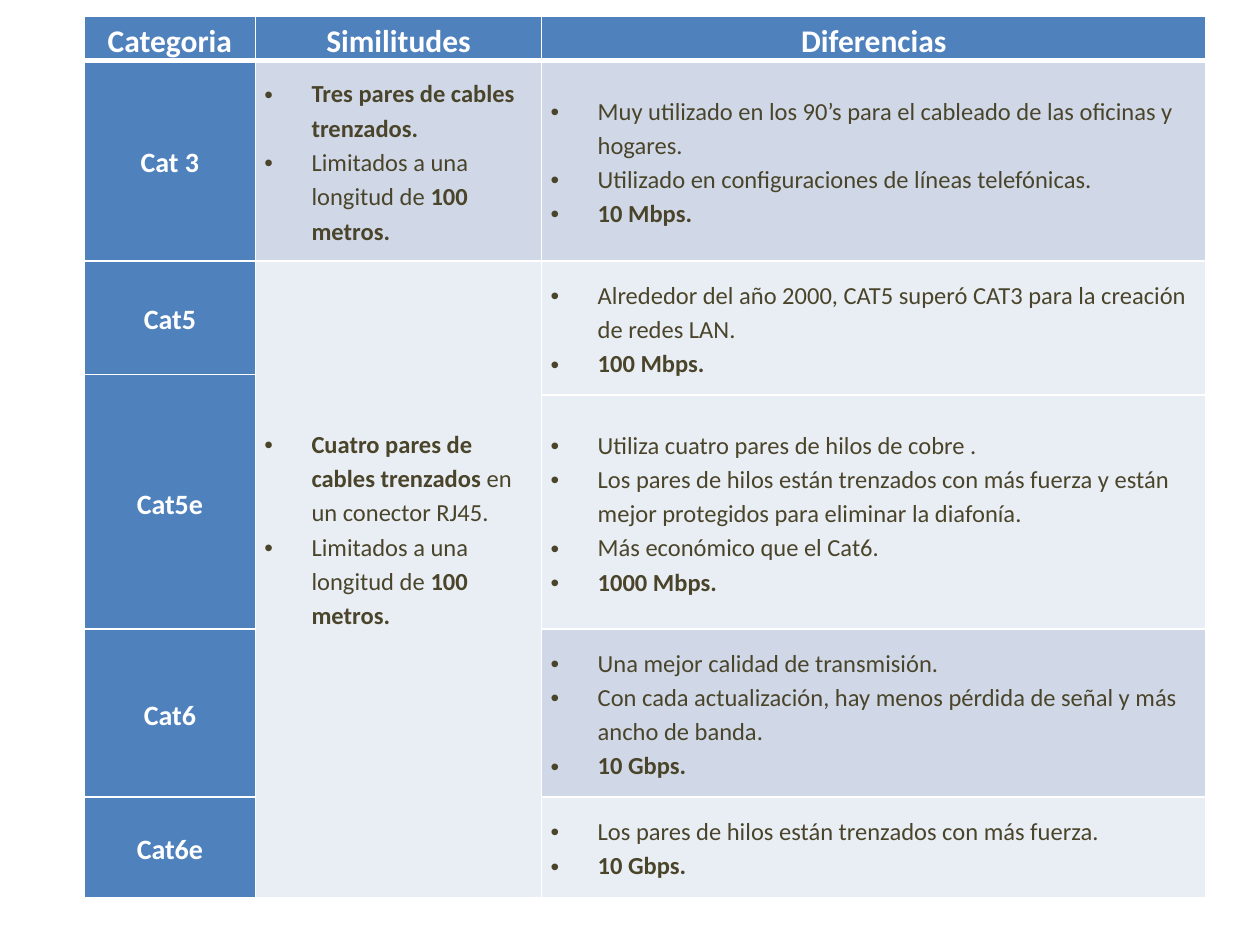
from dataclasses import dataclass

from lxml.etree import SubElement
from pptx import Presentation
from pptx.dml.color import RGBColor
from pptx.enum.text import MSO_ANCHOR as Anchor, PP_ALIGN as Align
from pptx.oxml.ns import qn
from pptx.slide import Slide
from pptx.util import Cm, Pt

HEADINGS = ["Categoria", "Similitudes", "Diferencias"]
COLUMN_WIDTHS = [3.45, 5.77, 13.39]
ROW_HEIGHTS = [0.86, 4.04, 2.29, 0.41, 4.72, 3.38, 2.03]
MERGES = [((2, 1), (6, 1)), ((2, 2), (3, 2)), ((3, 0), (4, 0))]
CATEGORIES = {1: "Cat 3", 2: "Cat5", 3: "Cat5e", 5: "Cat6", 6: "Cat6e"}
SIMILARITIES = {
    1: ["*Tres pares de cables trenzados.*",
        "Limitados a una longitud de *100 metros.*"],
    2: ["*Cuatro pares de cables trenzados* en un conector RJ45.",
        "Limitados a una longitud de *100 metros.*"],
}
DIFFERENCES = {
    1: ["Muy utilizado en los 90’s para el cableado de las oficinas y hogares.",
        "Utilizado en configuraciones de líneas telefónicas.",
        "*10 Mbps.*"],
    2: ["Alrededor del año 2000, CAT5 superó CAT3 para la creación de redes LAN.",
        "*100 Mbps.*"],
    4: ["Utiliza cuatro pares de hilos de cobre .",
        "Los pares de hilos están trenzados con más fuerza y están mejor "
        "protegidos para eliminar la diafonía.",
        "Más económico que el Cat6.",
        "*1000 Mbps.*"],
    5: ["Una mejor calidad de transmisión.",
        "Con cada actualización, hay menos pérdida de señal y más ancho de banda.",
        "*10 Gbps.*"],
    6: ["Los pares de hilos están trenzados con más fuerza.",
        "*10 Gbps.*"],
}
SHADED_ROWS = (1, 5)


def color(code):
    return RGBColor.from_string(code)


@dataclass
class ComparisonSlide:
    """Holds the table style and the slide it is drawn on."""

    slide: Slide
    font: str = "Calibri"
    accent: str = "4F81BD"
    shade: str = "D0D8E8"
    tint: str = "E9EDF4"
    ink: str = "4A452A"
    light: str = "FFFFFF"

    def table(self, left, top, widths, heights, merges):
        frame = self.slide.shapes.add_table(
            len(heights), len(widths), Cm(left), Cm(top),
            Cm(sum(widths)), Cm(sum(heights)))
        grid = frame.table
        grid.horz_banding = False
        for column, width in zip(grid.columns, widths):
            column.width = Cm(width)
        for row, height in zip(grid.rows, heights):
            row.height = Cm(height)
        for first, last in merges:
            grid.cell(*first).merge(grid.cell(*last))
        return grid

    def cell(self, cell, fill, top_line=1, bottom_line=1):
        properties = cell._tc.get_or_add_tcPr()
        for side, width in zip("LRTB", (1, 1, top_line, bottom_line)):
            line = SubElement(properties, qn(f"a:ln{side}"), w=str(Pt(width)))
            paint = SubElement(line, qn("a:solidFill"))
            SubElement(paint, qn("a:srgbClr"), val=self.light)
        cell.fill.solid()
        cell.fill.fore_color.rgb = color(fill)
        cell.margin_left = cell.margin_right = Cm(0.18)
        cell.margin_top = cell.margin_bottom = 0
        cell.vertical_anchor = Anchor.MIDDLE

    def format(self, paragraph, size, ink):
        paragraph.line_spacing = 1.15
        paragraph.font.name = self.font
        paragraph.font.size = Pt(size)
        paragraph.font.color.rgb = color(ink)

    def label(self, cell, text, size):
        paragraph = cell.text_frame.paragraphs[0]
        paragraph.text = text
        paragraph.alignment = Align.CENTER
        self.format(paragraph, size, self.light)
        paragraph.font.bold = True

    def bullets(self, cell, items):
        frame = cell.text_frame
        for index, item in enumerate(items):
            paragraph = frame.add_paragraph() if index else frame.paragraphs[0]
            properties = paragraph._p.get_or_add_pPr()
            properties.set("marL", str(Cm(0.95)))
            properties.set("indent", str(Cm(-0.95)))
            SubElement(properties, qn("a:buFont"), typeface="Arial")
            SubElement(properties, qn("a:buChar"), char="•")
            self.format(paragraph, 14, self.ink)
            for part, text in enumerate(item.split("*")):
                if text:
                    run = paragraph.add_run()
                    run.text = text
                    run.font.bold = part % 2 == 1


def main():
    deck = Presentation()
    deck.slide_width, deck.slide_height = Cm(25.4), Cm(19.05)
    page = ComparisonSlide(deck.slides.add_slide(deck.slide_layouts[6]))
    grid = page.table(1.7, 0.33, COLUMN_WIDTHS, ROW_HEIGHTS, MERGES)

    for column, heading in enumerate(HEADINGS):
        header = grid.cell(0, column)
        page.cell(header, page.accent, bottom_line=3)
        header.vertical_anchor = Anchor.TOP
        page.label(header, heading, 18)

    for row in range(1, len(ROW_HEIGHTS)):
        band = page.shade if row in SHADED_ROWS else page.tint
        similarity_fill = page.shade if row == 1 else page.tint
        for column, fill in enumerate((page.accent, similarity_fill, band)):
            page.cell(grid.cell(row, column), fill, top_line=3 if row == 1 else 1)

    for row, category in CATEGORIES.items():
        page.label(grid.cell(row, 0), category, 16)
    for column, entries in enumerate((SIMILARITIES, DIFFERENCES), start=1):
        for row, items in entries.items():
            page.bullets(grid.cell(row, column), items)
    grid.cell(2, 1).margin_bottom = Cm(2.05)

    deck.save("out.pptx")


if __name__ == "__main__":
    main()
